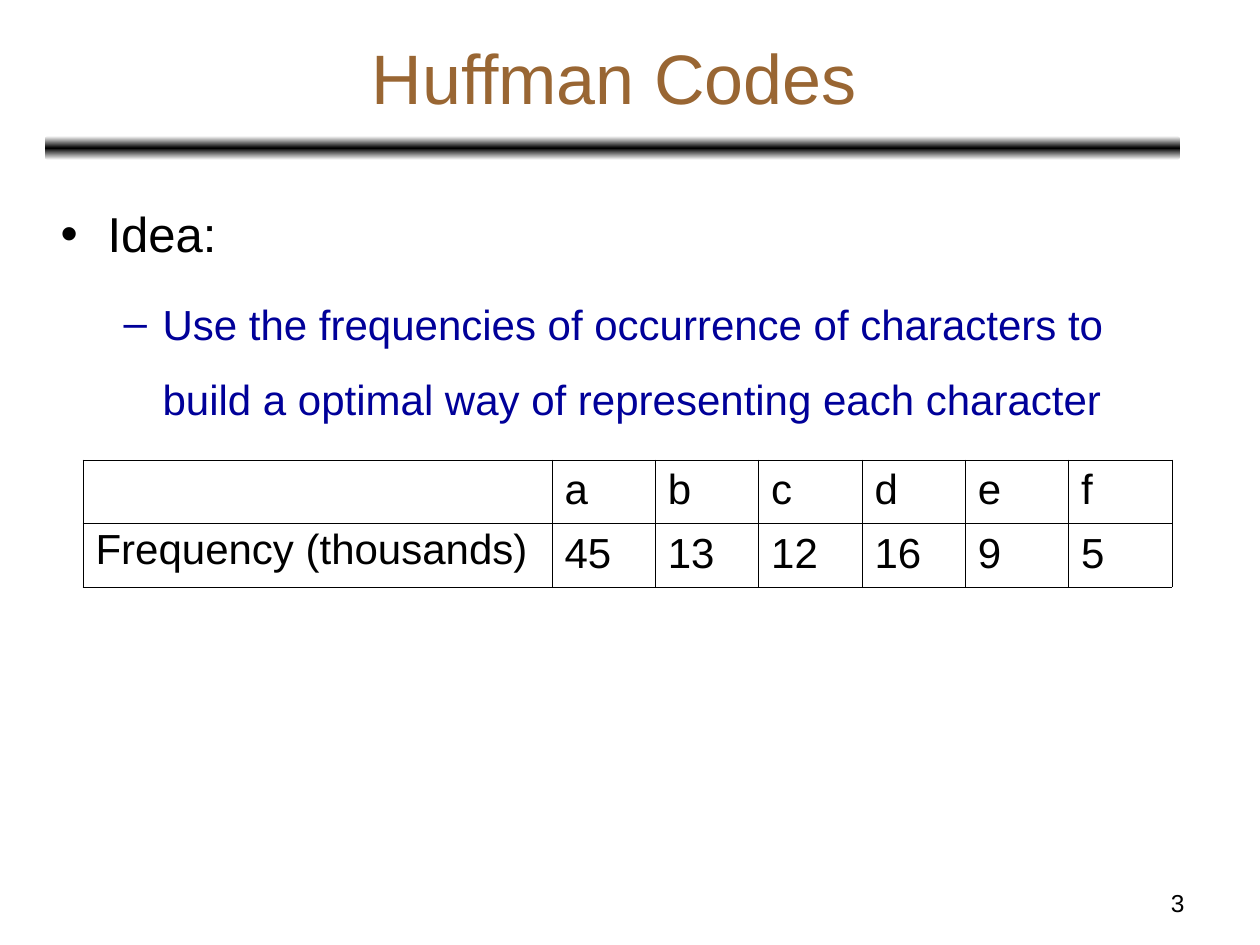
"""Build the Huffman Codes slide with its character frequency table."""
from dataclasses import dataclass

from lxml import etree
from pptx import Presentation
from pptx.dml.color import RGBColor
from pptx.enum.shapes import MSO_SHAPE
from pptx.enum.text import MSO_ANCHOR, MSO_AUTO_SIZE, PP_ALIGN
from pptx.oxml.ns import qn
from pptx.util import Pt

EMU_PER_INCH = 914400
PX_PER_INCH = 126
FONT = "Arial"
BLACK, WHITE, BROWN, NAVY = "000000", "FFFFFF", "996633", "000099"
ROUNDED = MSO_SHAPE.ROUNDED_RECTANGLE
TOP, MIDDLE = MSO_ANCHOR.TOP, MSO_ANCHOR.MIDDLE
CENTER, RIGHT = PP_ALIGN.CENTER, PP_ALIGN.RIGHT
NO_AUTOFIT = MSO_AUTO_SIZE.NONE
THIN, OUTER = 0.23, 0.5


@dataclass(frozen=True)
class Box:
    left: int
    top: int
    width: int
    height: int

    def emu(self) -> tuple:
        return tuple(px(side) for side in (self.left, self.top, self.width, self.height))


@dataclass(frozen=True)
class Bullet:
    text: str
    level: int
    mark: str
    color: str
    size: int
    margin: int
    hanging: int
    space_before: int


BULLETS = (
    Bullet("Idea:", 0, "•", BLACK, 28, 47, 47, 0),
    Bullet("Use the frequencies of occurrence of characters to build a optimal way "
           "of representing each character", 1, "–", NAVY, 24, 102, 39, 6),
)
FREQUENCIES = {"a": 45, "b": 13, "c": 12, "d": 16, "e": 9, "f": 5}


def px(length: int) -> int:
    return round(length * EMU_PER_INCH / PX_PER_INCH)


def rgb(color: str) -> RGBColor:
    return RGBColor.from_string(color)


def format_runs(paragraph, size: int, color: str) -> None:
    for run in paragraph.runs:
        run.font.name = FONT
        run.font.size = Pt(size)
        run.font.color.rgb = rgb(color)


def add_color(parent, color: str) -> None:
    etree.SubElement(parent, qn("a:srgbClr"), val=color)


def place(shape, box: Box, anchor) -> None:
    shape.left, shape.top, shape.width, shape.height = box.emu()
    shape.text_frame.word_wrap = True
    shape.text_frame.auto_size = NO_AUTOFIT
    shape.text_frame.vertical_anchor = anchor


def draw_line_of_text(shape, box: Box, text: str, size: int, color: str, alignment, anchor) -> None:
    place(shape, box, anchor)
    shape.text_frame.text = text
    paragraph = shape.text_frame.paragraphs[0]
    paragraph.alignment = alignment
    format_runs(paragraph, size, color)


def draw_divider(slide, box: Box) -> None:
    divider = slide.shapes.add_shape(ROUNDED, *box.emu())
    divider.shadow.inherit = False
    divider.line.fill.background()
    divider.fill.gradient()
    divider.fill.gradient_angle = 270
    stops = divider.element.spPr.find(qn("a:gradFill")).find(qn("a:gsLst"))
    for stop in list(stops):
        stops.remove(stop)
    for percent, color in ((0, WHITE), (50, BLACK), (100, WHITE)):
        add_color(etree.SubElement(stops, qn("a:gs"), pos=str(percent * 1000)), color)


def draw_bullets(body, box: Box) -> None:
    place(body, box, TOP)
    body.text_frame.text = "\n".join(bullet.text for bullet in BULLETS)
    for paragraph, bullet in zip(body.text_frame.paragraphs, BULLETS):
        paragraph.level = bullet.level
        properties = paragraph._p.get_or_add_pPr()
        properties.set("marL", str(px(bullet.margin)))
        properties.set("indent", str(-px(bullet.hanging)))
        add_color(etree.SubElement(properties, qn("a:buClr")), bullet.color)
        etree.SubElement(properties, qn("a:buFont"), typeface=FONT)
        etree.SubElement(properties, qn("a:buChar"), char=bullet.mark)
        paragraph.line_spacing = 1.5
        paragraph.space_before = Pt(bullet.space_before)
        format_runs(paragraph, bullet.size, bullet.color)


def draw_borders(cell, outer_sides: dict) -> None:
    properties = cell._tc.get_or_add_tcPr()
    for side, is_outer in outer_sides.items():
        width = Pt(OUTER if is_outer else THIN)
        line = etree.SubElement(properties, qn(f"a:ln{side}"), w=str(width))
        add_color(etree.SubElement(line, qn("a:solidFill")), BLACK)


def draw_table(slide, box: Box, label_width: int) -> None:
    rows = (("", *FREQUENCIES), ("Frequency (thousands)", *FREQUENCIES.values()))
    last_row, last_column = len(rows) - 1, len(FREQUENCIES)
    table = slide.shapes.add_table(len(rows), last_column + 1, *box.emu()).table
    table.first_row = table.horz_banding = False
    for index, column in enumerate(table.columns):
        column.width = px(box.width - label_width) // last_column if index else px(label_width)
    for row_index, values in enumerate(rows):
        for column_index, value in enumerate(values):
            cell = table.cell(row_index, column_index)
            draw_borders(cell, {"L": column_index == 0, "R": column_index == last_column,
                                "T": row_index == 0, "B": row_index == last_row})
            cell.fill.background()
            cell.vertical_anchor = MIDDLE if column_index else TOP
            cell.text_frame.text = str(value)
            paragraph = cell.text_frame.paragraphs[0]
            paragraph.line_spacing = 0.93
            format_runs(paragraph, 24, BLACK)


def main() -> None:
    presentation = Presentation()
    presentation.slide_width, presentation.slide_height = px(1260), px(945)
    slide = presentation.slides.add_slide(presentation.slide_layouts[1])
    title, body = slide.placeholders
    draw_divider(slide, Box(45, 136, 1135, 24))
    number = slide.shapes.add_textbox(0, 0, 0, 0)
    draw_line_of_text(number, Box(903, 882, 294, 44), "3", 14, BLACK, RIGHT, TOP)
    draw_line_of_text(title, Box(47, 14, 1134, 125), "Huffman Codes", 40, BROWN, CENTER, MIDDLE)
    draw_bullets(body, Box(48, 168, 1134, 699))
    draw_table(slide, Box(83, 460, 1089, 127), 469)
    presentation.save("out.pptx")


if __name__ == "__main__":
    main()
